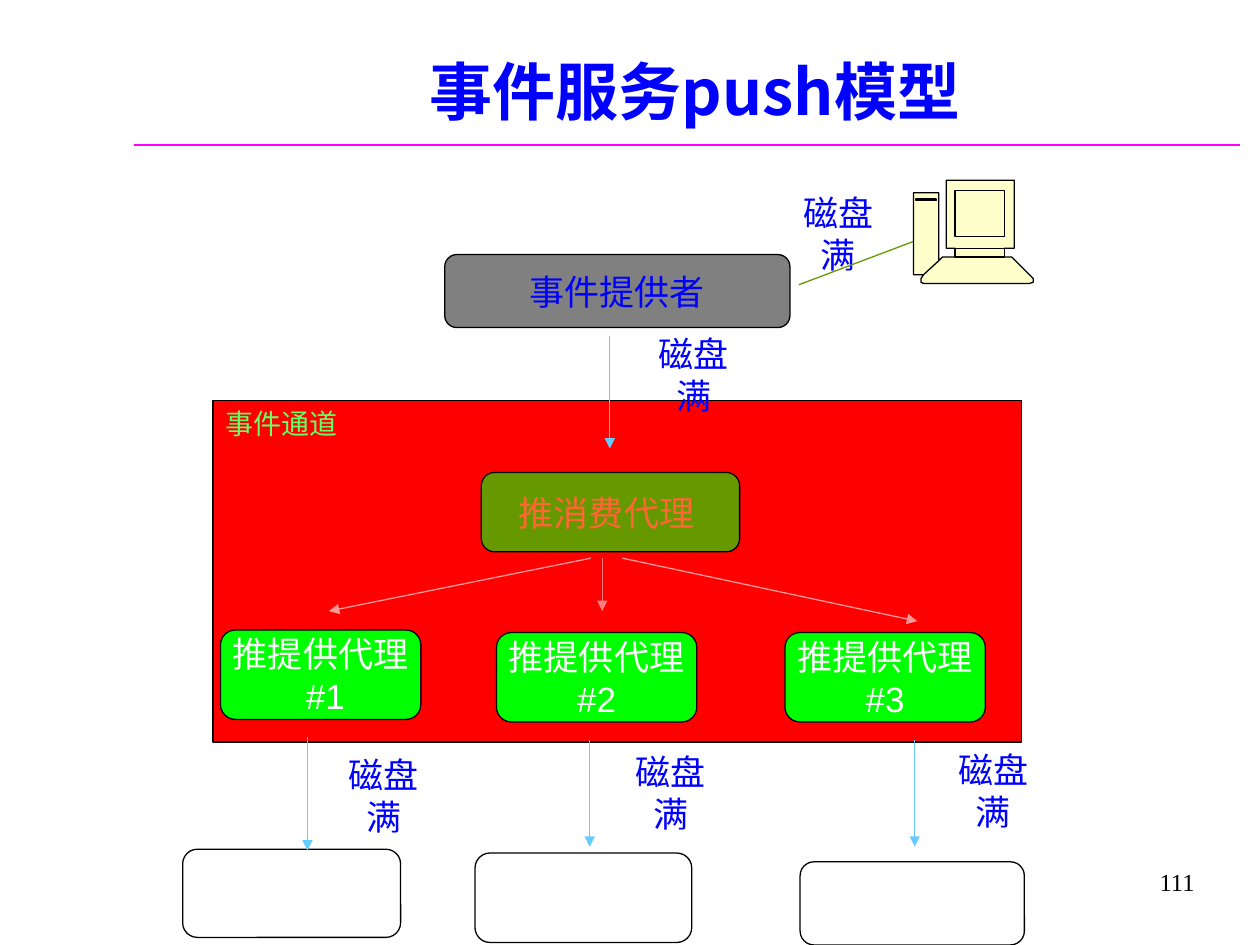
from lxml import etree
from pptx import Presentation
from pptx.dml.color import RGBColor
from pptx.enum import shapes, text
from pptx.oxml import ns
from pptx.util import Inches, Pt

COLORS = {
    "black": "000000", "white": "FFFFFF", "blue": "0000FF", "magenta": "FF00FF",
    "red": "FF0000", "green": "00FF00", "gray": "808080", "olive": "669900",
    "mint": "66FF66", "orange": "FF6633", "sky": "66CCFF", "pink": "FF9999",
    "rose": "FF7C80", "cream": "FFFFCC",
}
RECTANGLE = shapes.MSO_SHAPE.RECTANGLE
ROUNDED = shapes.MSO_SHAPE.ROUNDED_RECTANGLE
CENTER = text.PP_ALIGN.CENTER
MIDDLE = text.MSO_ANCHOR.MIDDLE
TOP = text.MSO_ANCHOR.TOP

presentation = Presentation()
presentation.slide_width = Inches(10)
presentation.slide_height = Inches(7.5)
slide = presentation.slides.add_slide(presentation.slide_layouts[6])


def add_block(content, box, kind=None, fill=None, color="blue", size=20, font="Arial",
              bold=False, align=CENTER, anchor=MIDDLE, wrap=False):
    place = [Inches(value) for value in box]
    if kind is None:
        shape = slide.shapes.add_textbox(*place)
    else:
        shape = slide.shapes.add_shape(kind, *place)
        shape.shadow.inherit = False
        shape.fill.solid()
        shape.fill.fore_color.rgb = RGBColor.from_string(COLORS[fill])
        shape.line.color.rgb = RGBColor.from_string(COLORS["black"])
        shape.line.width = Pt(0.75)
    if not content:
        return
    frame = shape.text_frame
    frame.word_wrap = wrap
    frame.vertical_anchor = anchor
    frame.text = content
    for paragraph in frame.paragraphs:
        paragraph.alignment = align
        for run in paragraph.runs:
            run.font.size = Pt(size)
            run.font.bold = bold
            run.font.color.rgb = RGBColor.from_string(COLORS[color])
            run.font.name = font
            east_asian = etree.SubElement(run.font._element, ns.qn("a:ea"))
            east_asian.set("typeface", "Noto Sans CJK SC")


def add_line(start, end, color, width=0.75, arrow=True):
    points = [Inches(value) for value in (*start, *end)]
    connector = slide.shapes.add_connector(shapes.MSO_CONNECTOR.STRAIGHT, *points)
    connector.line.color.rgb = RGBColor.from_string(COLORS[color])
    connector.line.width = Pt(width)
    if arrow:
        etree.SubElement(connector.line._get_or_add_ln(), ns.qn("a:tailEnd"), type="triangle")
    etree.SubElement(connector._element.spPr, ns.qn("a:effectLst"))


add_line((1.06, 1.15), (9.84, 1.15), "magenta", width=1.5, arrow=False)
add_block("111", (7.5, 6.75, 2.08, 0.5), color="black", size=14,
          font="Times New Roman", align=text.PP_ALIGN.RIGHT)
add_block("事件服务push模型", (1.22, 0.13, 8.59, 0.94), size=36, font="Noto Sans CJK SC",
          bold=True, anchor=text.MSO_ANCHOR.BOTTOM, wrap=True)
add_block("事件通道", (1.69, 3.18, 6.42, 2.71), RECTANGLE, "red", color="mint", size=16,
          align=text.PP_ALIGN.LEFT, anchor=TOP)

for consumer in [(1.45, 6.74, 1.73, 0.7), (3.77, 6.77, 1.72, 0.71), (6.35, 6.84, 1.78, 0.66)]:
    add_block("", consumer, ROUNDED, "white")

for left, top in [(4.81, 5.91), (7.37, 5.89), (2.53, 5.93), (4.99, 2.59), (6.14, 1.47)]:
    add_block("磁盘满", (left, top, 1.03, 0.44), font="Times New Roman", anchor=TOP)

for content, left, top in [("推提供代理\n #1", 1.75, 5), ("推提供代理\n#2", 3.94, 5.02),
                           ("推提供代理\n#3", 6.23, 5.02)]:
    add_block(content, (left, top, 1.59, 0.71), ROUNDED, "green", color="white")

for start, end, color in [
    ((4.68, 5.87), (4.68, 6.72), "sky"),
    ((7.26, 5.87), (7.26, 6.72), "sky"),
    ((2.44, 5.85), (2.44, 6.75), "sky"),
    ((4.69, 4.43), (2.61, 4.85), "pink"),
    ((4.78, 4.43), (4.78, 4.85), "rose"),
    ((4.94, 4.43), (7.28, 4.93), "pink"),
    ((4.84, 2.67), (4.84, 3.56), "sky"),
]:
    add_line(start, end, color)

add_block("事件提供者", (3.53, 2.02, 2.74, 0.58), ROUNDED, "gray")
add_block("推消费代理 ", (3.82, 3.75, 2.05, 0.63), ROUNDED, "olive", color="orange")

add_line((7.32, 1.89), (6.34, 2.26), "olive", arrow=False)
computer_outline = [
    (7.45, 2.07), (7.48, 2.04), (7.58, 2.04), (7.58, 1.97), (7.51, 1.97), (7.51, 1.43),
    (8.05, 1.43), (8.05, 1.97), (7.97, 1.97), (7.97, 2.04), (8.03, 2.04), (8.17, 2.18),
    (8.2, 2.21), (8.2, 2.24), (8.17, 2.25), (7.33, 2.25), (7.31, 2.24), (7.31, 2.21),
    (7.33, 2.18), (7.25, 2.18), (7.25, 1.53), (7.45, 1.53),
]
points = [(Inches(x), Inches(y)) for x, y in computer_outline]
builder = slide.shapes.build_freeform(*points[0])
builder.add_line_segments(points[1:], close=True)
computer = builder.convert_to_shape()
computer.shadow.inherit = False
computer.fill.solid()
computer.fill.fore_color.rgb = RGBColor.from_string(COLORS["cream"])
computer.line.color.rgb = RGBColor.from_string(COLORS["black"])
computer.line.width = Pt(0.75)

screen, slot, neck = (7.58, 1.51, 0.39, 0.37), (7.27, 1.58, 0.16, 0.01), (7.58, 1.97, 0.39, 0.07)
for part in (screen, slot, neck):
    add_block("", part, RECTANGLE, "cream")
add_line((7.45, 2.07), (7.33, 2.18), "black", arrow=False)

presentation.save("out.pptx")
